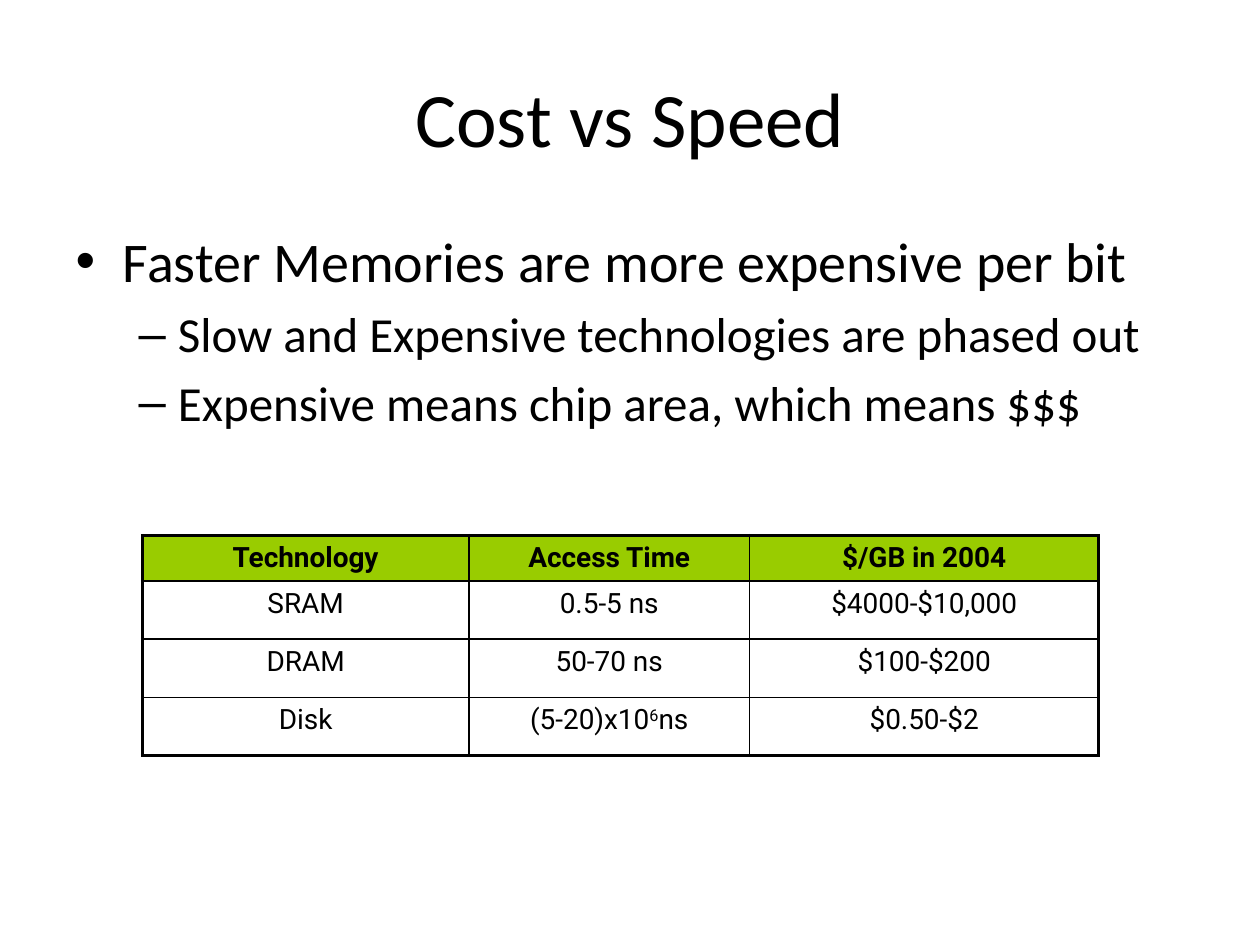
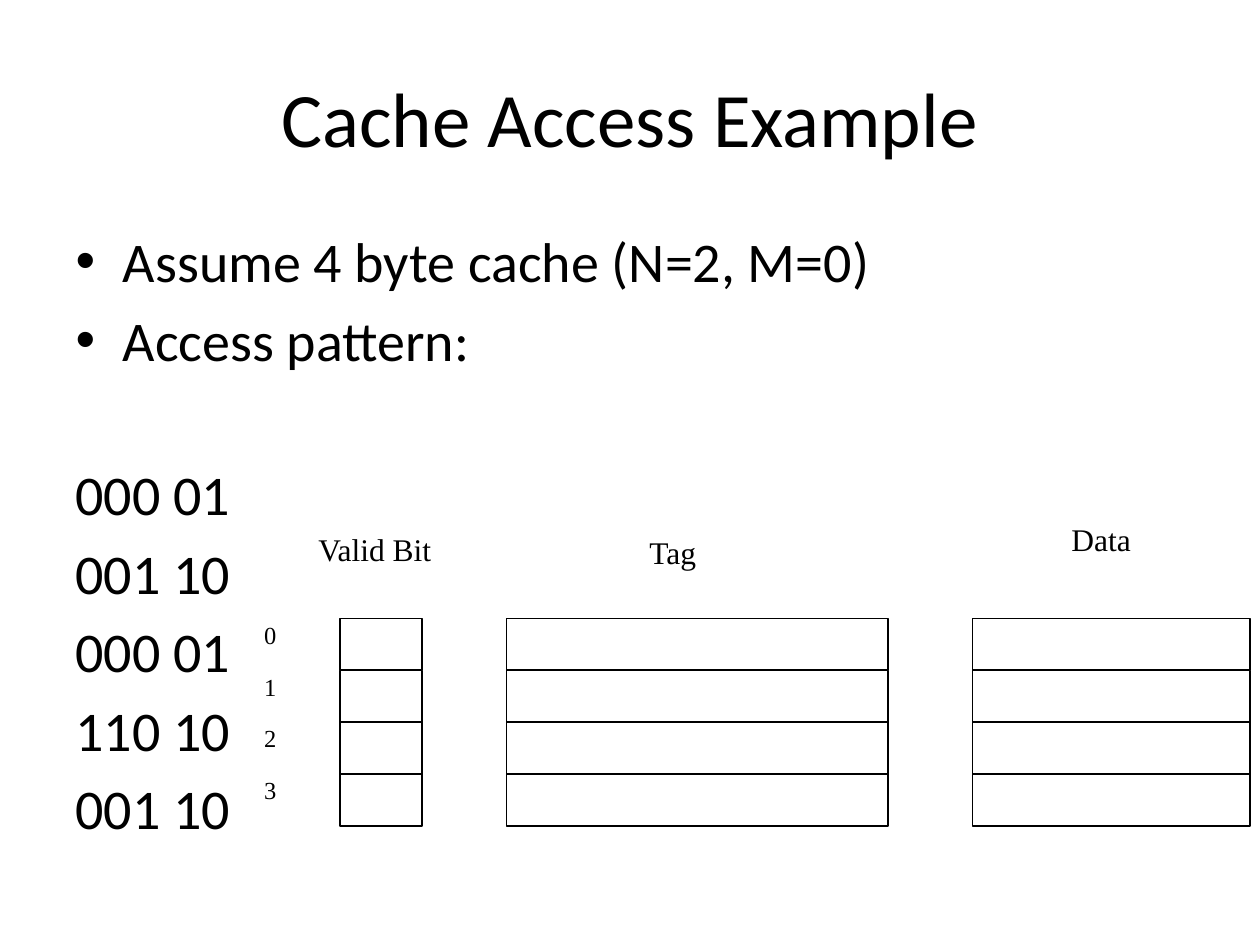
from dataclasses import dataclass

from lxml import etree
from pptx import Presentation
from pptx.dml.color import RGBColor
from pptx.enum.shapes import MSO_SHAPE
from pptx.enum.text import MSO_ANCHOR, MSO_AUTO_SIZE, PP_ALIGN
from pptx.oxml.ns import qn
from pptx.util import Pt

CENTER = PP_ALIGN.CENTER
MIDDLE = MSO_ANCHOR.MIDDLE
NO_AUTOSIZE = MSO_AUTO_SIZE.NONE
RECTANGLE = MSO_SHAPE.RECTANGLE
TITLE_AND_CONTENT = 1


@dataclass(frozen=True)
class Theme:
    ink: RGBColor = RGBColor(0, 0, 0)
    paper: RGBColor = RGBColor(255, 255, 255)
    header: RGBColor = RGBColor(0x99, 0xCC, 0x00)
    main_font: str = "Calibri"
    table_font: str = "Roboto"
    diagram_font: str = "Times New Roman"
    title_size: int = 44
    list_sizes: tuple = (32, 28)
    table_size: int = 16
    caption_size: int = 18
    index_size: int = 14
    thin: float = 1
    thick: float = 2.25


@dataclass(frozen=True)
class Box:
    left: float
    top: float
    width: float
    height: float

    def lengths(self):
        return Pt(self.left), Pt(self.top), Pt(self.width), Pt(self.height)


THEME = Theme()
TITLE_BOX = Box(36, 21.6, 648, 90)
BODY_BOX = Box(36, 126, 648, 356.4)

TECHNOLOGIES = [
    ("Technology", "Access Time", "$/GB in 2004"),
    ("SRAM", "0.5-5 ns", "$4000-$10,000"),
    ("DRAM", "50-70 ns", "$100-$200"),
    ("Disk", "(5-20)x10^6^ns", "$0.50-$2"),
]
COLUMN_WIDTHS = (186.5, 160.5, 199.5)
ROW_HEIGHTS = (26, 33.3, 33.3, 33.3)

ACCESSES = ("000 01", "001 10", "000 01", "110 10", "001 10")
# Caption, left and width of the column, centre and top of the caption
CACHE_COLUMNS = [
    ("Valid Bit", 64.4, 46.8, 84.2, 0.5),
    ("Tag", 159.4, 218.2, 254.5, 2),
    ("Data", 425.8, 158.4, 499.3, -5.2),
]
CACHE_ROWS = 4


def style_font(paragraph, name, size, bold=False):
    font = paragraph.font
    font.name, font.size, font.bold = name, Pt(size), bold
    font.color.rgb = THEME.ink


def place(shape, box):
    shape.left, shape.top, shape.width, shape.height = box.lengths()


def add_page(deck, title):
    page = deck.slides.add_slide(deck.slide_layouts[TITLE_AND_CONTENT])
    place(page.shapes.title, TITLE_BOX)
    frame = page.shapes.title.text_frame
    frame.text = title
    frame.vertical_anchor = MIDDLE
    frame.auto_size = NO_AUTOSIZE
    frame.paragraphs[0].alignment = CENTER
    style_font(frame.paragraphs[0], THEME.main_font, THEME.title_size)
    return page


def fill_body(page, box, items):
    """Write (level, text) items into the body placeholder; return its paragraphs."""
    body = page.placeholders[1]
    place(body, box)
    frame = body.text_frame
    frame.text = "\n".join(text for _, text in items)
    frame.auto_size = NO_AUTOSIZE
    for paragraph, (level, _) in zip(frame.paragraphs, items):
        paragraph.level = level
        style_font(paragraph, THEME.main_font, THEME.list_sizes[level])
    frame.paragraphs[0].space_before = Pt(0)
    return frame.paragraphs


def remove_bullet(paragraph):
    properties = paragraph._p.get_or_add_pPr()
    properties.append(properties.makeelement(qn("a:buNone"), {}))


def border_cell(cell, widths):
    """Draw the left, right, top and bottom borders in the given widths."""
    properties = cell._tc.get_or_add_tcPr()
    for side, width in zip("LRTB", widths):
        line = etree.SubElement(properties, qn(f"a:ln{side}"), w=str(Pt(width)))
        fill = etree.SubElement(line, qn("a:solidFill"))
        etree.SubElement(fill, qn("a:srgbClr"), val=str(THEME.ink))


def write_cell(cell, text, bold):
    """Write text, raising the parts between carets."""
    paragraph = cell.text_frame.paragraphs[0]
    paragraph.alignment = CENTER
    style_font(paragraph, THEME.table_font, THEME.table_size, bold)
    for position, part in enumerate(text.split("^")):
        span = paragraph.add_run()
        span.text = part
        span.font.name, span.font.size = THEME.table_font, Pt(THEME.table_size)
        span.font.bold = bold
        span.font.color.rgb = THEME.ink
        if position % 2:
            span.font._element.set("baseline", "30000")


def add_technology_table(page, box):
    last_row, last_column = len(ROW_HEIGHTS) - 1, len(COLUMN_WIDTHS) - 1
    table = page.shapes.add_table(
        last_row + 1, last_column + 1, *box.lengths()).table
    table.first_row = table.horz_banding = False
    for column, width in zip(table.columns, COLUMN_WIDTHS):
        column.width = Pt(width)
    for row, height in zip(table.rows, ROW_HEIGHTS):
        row.height = Pt(height)
    for r, texts in enumerate(TECHNOLOGIES):
        for c, text in enumerate(texts):
            cell = table.cell(r, c)
            outer = (c == 0, c == last_column, r == 0, r == last_row)
            border_cell(cell, [THEME.thick if edge else THEME.thin for edge in outer])
            if r == 0:
                cell.fill.solid()
                cell.fill.fore_color.rgb = THEME.header
            else:
                cell.fill.background()
            write_cell(cell, text, bold=r == 0)


def add_label(shapes, text, center, top, width, height, size):
    box = Box(center - width / 2, top, width, height)
    frame = shapes.add_textbox(*box.lengths()).text_frame
    frame.text = text
    frame.word_wrap = False
    frame.paragraphs[0].alignment = CENTER
    style_font(frame.paragraphs[0], THEME.diagram_font, size)


def add_cache_diagram(page, box):
    """Draw the captions, row numbers and cells of the cache."""
    shapes = page.shapes.add_group_shape().shapes
    row_height = 29.6
    cells_top = box.top + box.height - CACHE_ROWS * row_height
    row_tops = [cells_top + row * row_height for row in range(CACHE_ROWS)]

    for row, top in enumerate(row_tops):
        add_label(shapes, str(row), box.left + 24.4, top - 2.9, 31, 34.6,
                  THEME.index_size)
    for caption, left, width, center, caption_top in CACHE_COLUMNS:
        for top in row_tops:
            cell = shapes.add_shape(
                RECTANGLE, *Box(box.left + left, top, width, row_height).lengths())
            cell.shadow.inherit = False
            cell.fill.solid()
            cell.fill.fore_color.rgb = THEME.paper
            cell.line.color.rgb = THEME.ink
            cell.line.width = Pt(THEME.thin)
        add_label(shapes, caption, box.left + center, box.top + caption_top,
                  100, 41, THEME.caption_size)


def build_cost_page(deck):
    page = add_page(deck, "Cost vs Speed")
    fill_body(page, BODY_BOX, [
        (0, "Faster Memories are more expensive per bit"),
        (1, "Slow and Expensive technologies are phased out"),
        (1, "Expensive means chip area, which means $$$"),
    ])
    add_technology_table(
        page, Box(81.4, 306, sum(COLUMN_WIDTHS), sum(ROW_HEIGHTS)))


def build_cache_page(deck):
    page = add_page(deck, "Cache Access Example")
    statements = ("Assume 4 byte cache (N=2, M=0)", "Access pattern:")
    paragraphs = fill_body(
        page, BODY_BOX, [(0, text) for text in statements + ACCESSES])
    accesses = paragraphs[len(statements):]
    accesses[0].space_before = Pt(50)
    for paragraph in accesses:
        remove_bullet(paragraph)
    add_cache_diagram(page, Box(130, 299, 584.2, 172.9))


def main():
    deck = Presentation()
    deck.slide_width, deck.slide_height = Pt(720), Pt(540)
    build_cost_page(deck)
    build_cache_page(deck)
    deck.save("out.pptx")


if __name__ == "__main__":
    main()
